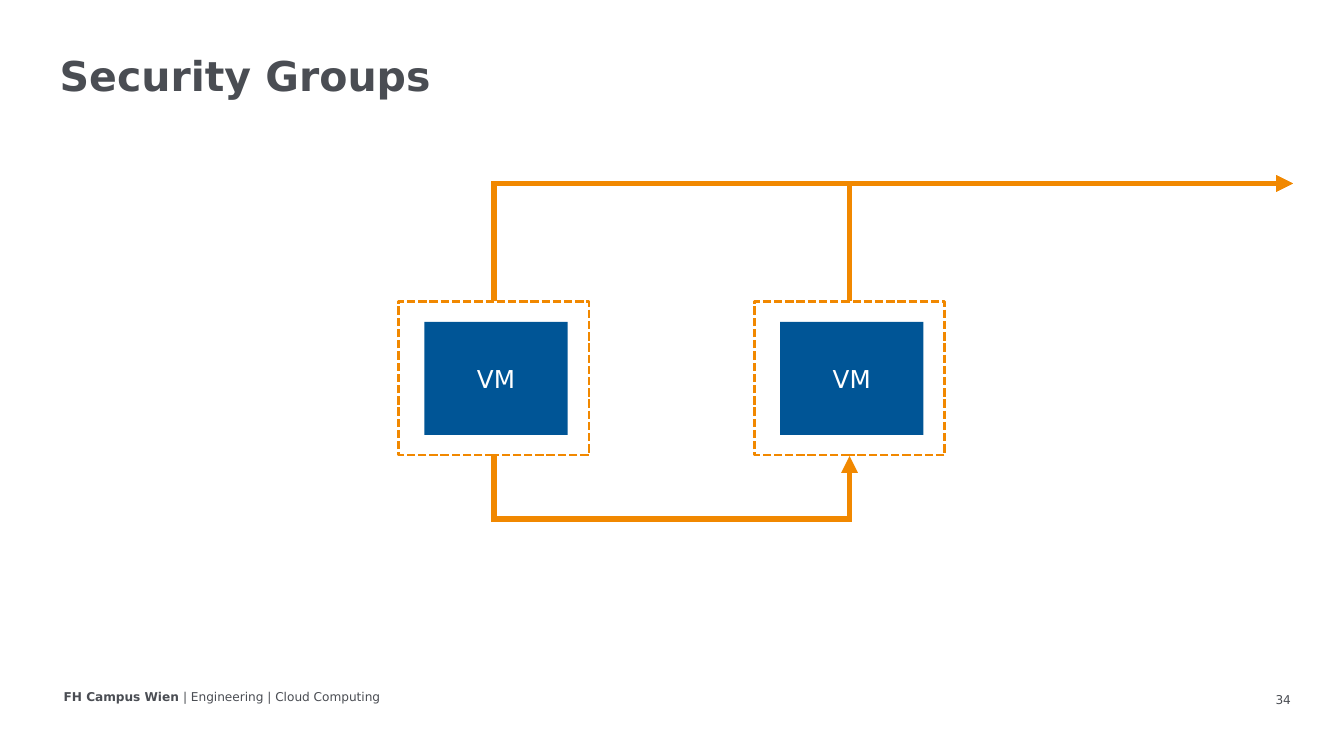
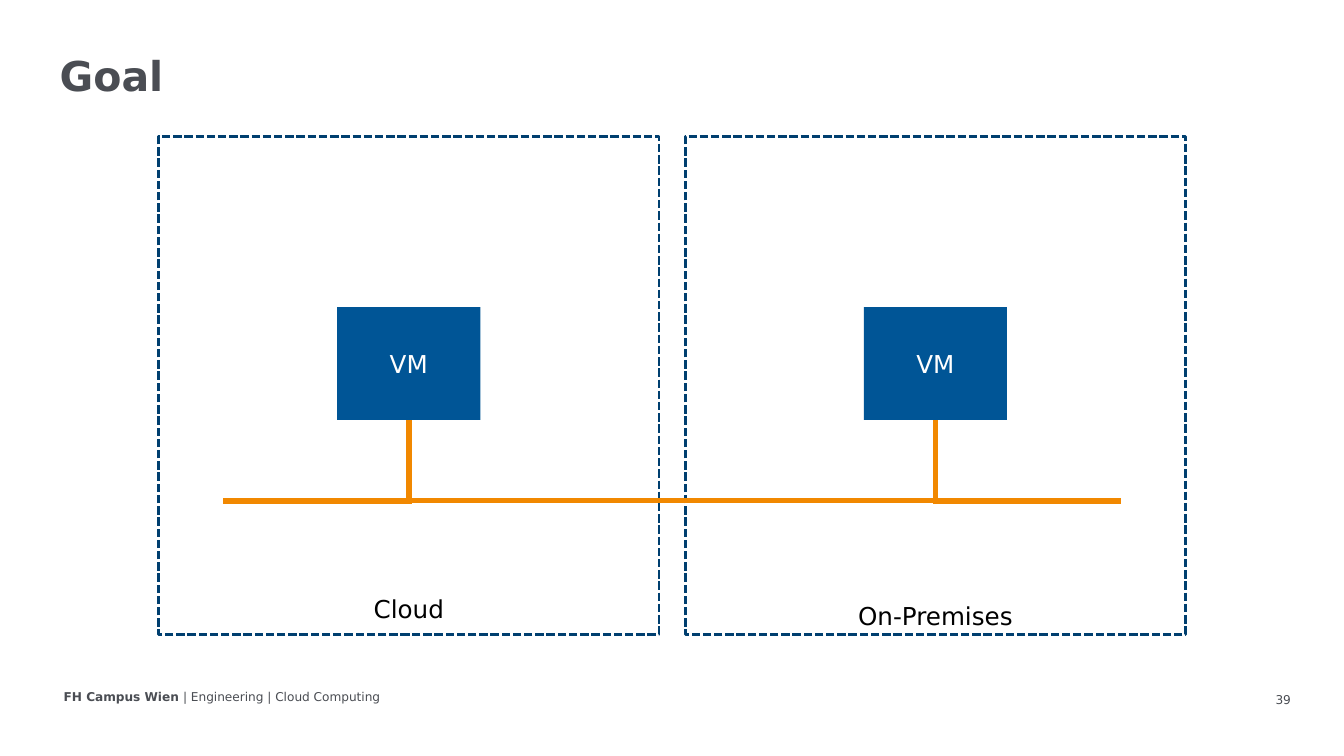
"""Builds two cloud network slides: security groups and the hybrid goal."""
import pptx
import pptx.util
import pptx.dml.color
import pptx.enum.dml
import pptx.enum.shapes
import pptx.enum.text
import pptx.oxml.ns
import lxml.etree

Pt = pptx.util.Pt
RGB = pptx.dml.color.RGBColor.from_string
Align = pptx.enum.text.PP_ALIGN
Anchor = pptx.enum.text.MSO_ANCHOR
Shape = pptx.enum.shapes.MSO_SHAPE
qn = pptx.oxml.ns.qn


class Theme:
    font = "DejaVu Sans"
    grey, blue, navy = RGB("4A4D53"), RGB("005596"), RGB("003F6F")
    orange, white, black = RGB("F18800"), RGB("FFFFFF"), RGB("000000")
    title, label, small = 44, 26.4, 13
    dash, wire = 3, 6


def write(shape, parts, size, color, align=Align.LEFT):
    """Fill a shape with one paragraph of (text, bold) parts."""
    frame = shape.text_frame
    frame.word_wrap = True
    para = frame.paragraphs[0]
    para.alignment = align
    for text, bold in parts:
        run = para.add_run()
        run.text = text
        run.font.name = Theme.font
        run.font.size = Pt(size)
        run.font.bold = bold
        run.font.color.rgb = color
    return frame


def wire(slide, start, end, first, last=None, reach=None, arrow=False):
    """Draw a bent line that leaves the site of a shape vertically."""
    (x1, y1), (x2, y2) = start, end
    wide, high = abs(y2 - y1), abs(x2 - x1)
    line = slide.shapes.add_connector(pptx.enum.shapes.MSO_CONNECTOR.ELBOW, 0, 0, 0, 0)
    line.begin_connect(*first)
    if last:
        line.end_connect(*last)
    line.left, line.top = Pt((x1 + x2 - wide) / 2), Pt((y1 + y2 - high) / 2)
    line.width, line.height = Pt(wide), Pt(high)
    props = line._element.spPr
    frame = props.find(qn("a:xfrm"))
    frame.set("rot", "5400000")
    frame.set("flipH", str(int(y2 < y1)))
    frame.set("flipV", str(int(x2 > x1)))
    geom = props.find(qn("a:prstGeom"))
    if reach is None:
        geom.set("prst", "bentConnector2")
    else:
        guide = lxml.etree.SubElement(geom.find(qn("a:avLst")), qn("a:gd"))
        guide.set("name", "adj1")
        guide.set("fmla", f"val {round(reach / wide * 100000)}")
    line.line.color.rgb = Theme.orange
    line.line.width = Pt(Theme.wire)
    stroke = props.find(qn("a:ln"))
    lxml.etree.SubElement(stroke, qn("a:miter")).set("lim", "800000")
    if arrow:
        lxml.etree.SubElement(stroke, qn("a:tailEnd")).set("type", "triangle")
    lxml.etree.SubElement(props, qn("a:effectLst"))


deck = pptx.Presentation()
deck.slide_width, deck.slide_height = Pt(1440.7), Pt(810)

vm_wide, vm_high = 153.4, 121
groups = dict(title="Security Groups", page="34", left=427, top=322.6, step=381.4,
              wide=204.5, high=164.9, color=Theme.orange, inset=(28, 22.3))
goal = dict(title="Goal", page="39", left=170, top=146.2, step=564.5,
            wide=536.4, high=533.5, color=Theme.navy, inset=(191.5, 182.8))

for plan in (groups, goal):
    slide = deck.slides.add_slide(deck.slide_layouts[6])
    shapes = slide.shapes
    num = shapes.add_textbox(Pt(1074.2), Pt(735), Pt(324), Pt(30.2))
    frame = write(num, [(plan["page"], False)], Theme.small, Theme.grey, Align.RIGHT)
    frame.vertical_anchor = Anchor.MIDDLE
    frame.margin_left = frame.margin_right = Pt(14.4)
    frame.margin_top = frame.margin_bottom = Pt(7.2)
    foot = shapes.add_textbox(Pt(61.2), Pt(735), Pt(488), Pt(23))
    write(foot, [("FH Campus Wien ", True), ("| Engineering | Cloud Computing", False)],
          Theme.small, Theme.grey)
    head = shapes.add_textbox(Pt(56.9), Pt(56.2), Pt(1341.4), Pt(55.4))
    frame = write(head, [(plan["title"], True)], Theme.title, Theme.grey)
    frame.paragraphs[0].line_spacing = 0.9

    plan["slide"], plan["frames"], plan["vms"] = slide, [], []
    for i in range(2):
        x, y = plan["left"] + i * plan["step"], plan["top"]
        dx, dy = plan["inset"]
        area = shapes.add_shape(Shape.RECTANGLE, Pt(x), Pt(y), Pt(plan["wide"]), Pt(plan["high"]))
        area.shadow.inherit = False
        area.fill.background()
        area.line.color.rgb = plan["color"]
        area.line.width = Pt(Theme.dash)
        area.line.dash_style = pptx.enum.dml.MSO_LINE.SQUARE_DOT
        plan["frames"].append(area)
        vm = shapes.add_shape(Shape.RECTANGLE, Pt(x + dx), Pt(y + dy), Pt(vm_wide), Pt(vm_high))
        vm.shadow.inherit = False
        vm.fill.solid()
        vm.fill.fore_color.rgb = Theme.blue
        vm.line.fill.background()
        frame = write(vm, [("VM", False)], Theme.label, Theme.white, Align.CENTER)
        frame.vertical_anchor = Anchor.MIDDLE
        plan["vms"].append(vm)
    mid = plan["left"] + plan["wide"] / 2
    plan["mids"] = [mid, mid + plan["step"]]

top, base = groups["top"], groups["top"] + groups["high"]
for x, area in zip(groups["mids"], groups["frames"]):
    wire(groups["slide"], (x, top), (1386, 196.6), (area, 0), arrow=True)
west, east = groups["mids"]
one, two = groups["frames"]
wire(groups["slide"], (west, base), (east, base + 1), (one, 2), (two, 2), 69.2, True)

base = goal["top"] + goal["inset"][1] + vm_high
bus = 537
for x, vm, side in zip(goal["mids"], goal["vms"], (-1, 1)):
    wire(goal["slide"], (x, base), (x + side * 199, bus), (vm, 2))
west, east = goal["mids"]
one, two = goal["vms"]
wire(goal["slide"], (east, base), (west, base + 1), (two, 2), (one, 2), bus - base)

for x, y, name in zip(goal["mids"], (633, 640), ("Cloud", "On-Premises")):
    label = goal["slide"].shapes.add_textbox(Pt(x - 126.7), Pt(y), Pt(253.4), Pt(39))
    write(label, [(name, False)], Theme.label, Theme.black, Align.CENTER)

deck.save("out.pptx")
